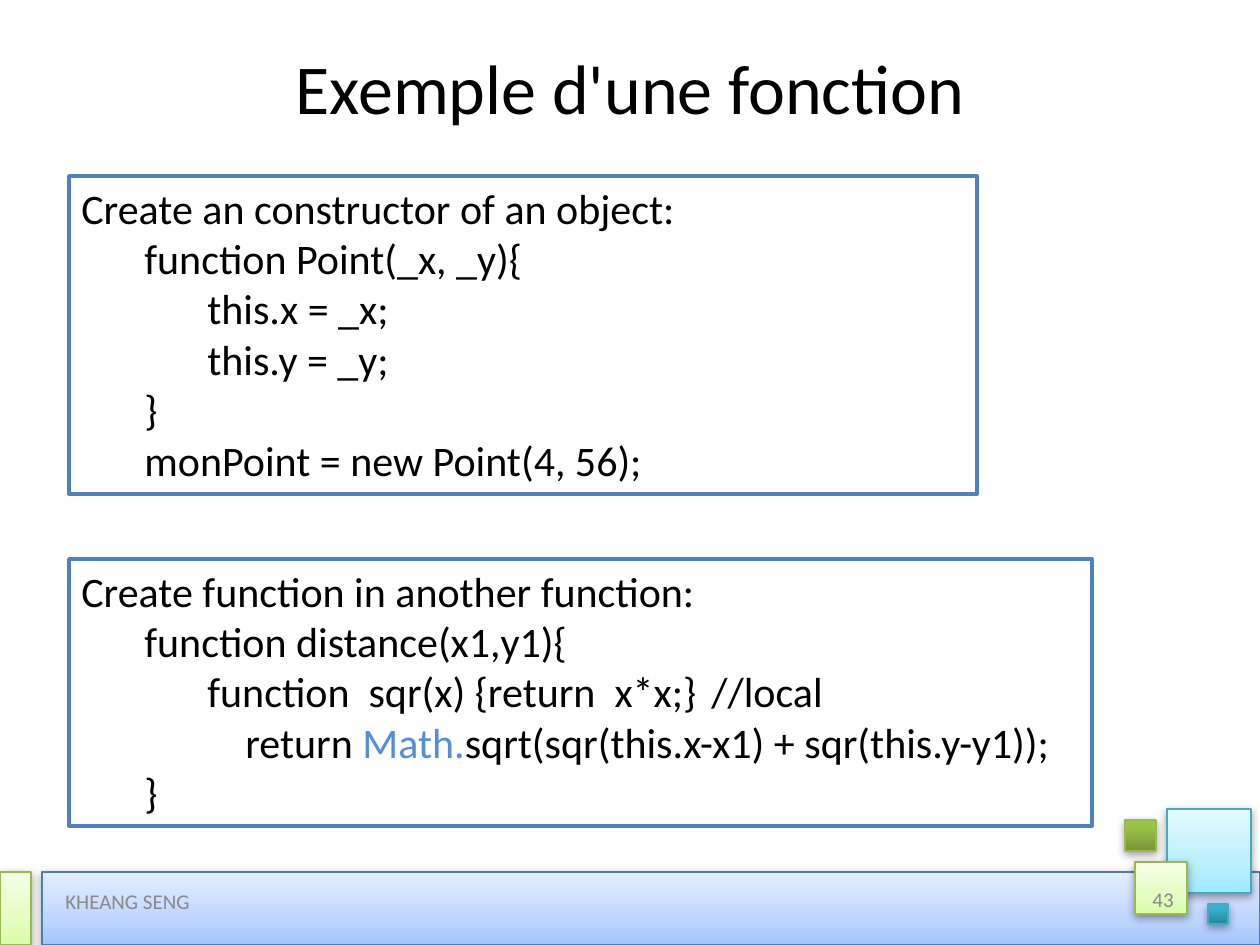
from copy import deepcopy

from lxml.etree import SubElement
from pptx import Presentation
from pptx.dml.color import RGBColor
from pptx.enum.shapes import MSO_SHAPE
from pptx.enum.text import MSO_ANCHOR, MSO_AUTO_SIZE, PP_ALIGN
from pptx.oxml.ns import qn
from pptx.util import Pt

EMU_PER_PX = 914400 / 126
INDENT = 63

BLACK = RGBColor(0x00, 0x00, 0x00)
WHITE = RGBColor(0xFF, 0xFF, 0xFF)
GREY = RGBColor(0x89, 0x89, 0x89)
FRAME_BLUE = RGBColor(0x4F, 0x81, 0xBD)
KEYWORD_BLUE = RGBColor(0x55, 0x8E, 0xD5)
BAND_LINE = RGBColor(0x4A, 0x7E, 0xBB)
AQUA_LINE = RGBColor(0x46, 0xAA, 0xC5)
GREEN_LINE = RGBColor(0x98, 0xB9, 0x54)

PALE_BLUE = [(0, RGBColor(0xA3, 0xC4, 0xFF)), (0.35, RGBColor(0xBF, 0xD5, 0xFF)),
             (1, RGBColor(0xE5, 0xEE, 0xFF))]
PALE_AQUA = [(0, RGBColor(0x9E, 0xEA, 0xFF)), (0.35, RGBColor(0xBB, 0xEF, 0xFF)),
             (1, RGBColor(0xE4, 0xF9, 0xFF))]
PALE_GREEN = [(0, RGBColor(0xDA, 0xFD, 0xA7)), (0.35, RGBColor(0xE4, 0xFD, 0xC2)),
              (1, RGBColor(0xF5, 0xFF, 0xE6))]
DEEP_GREEN = [(0, RGBColor(0x76, 0x95, 0x35)), (0.8, RGBColor(0x9B, 0xC3, 0x48)),
              (1, RGBColor(0x9C, 0xC7, 0x46))]
DEEP_AQUA = [(0, RGBColor(0x27, 0x87, 0xA0)), (0.8, RGBColor(0x36, 0xB1, 0xD2)),
             (1, RGBColor(0x34, 0xB3, 0xD6))]

# left, top, width, height, gradient, line colour
DECORATIONS = [
    (42, 872, 1218, 73, PALE_BLUE, BAND_LINE),
    (1167, 809, 84, 84, PALE_AQUA, AQUA_LINE),
    (1135, 862, 52, 52, PALE_GREEN, GREEN_LINE),
    (1125, 820, 31, 31, DEEP_GREEN, GREEN_LINE),
    (1208, 904, 20, 20, DEEP_AQUA, AQUA_LINE),
    (0, 872, 31, 73, PALE_GREEN, GREEN_LINE),
]

# Each line is an indent level and its text runs with their colours.
CONSTRUCTOR_CODE = [
    (0, [("Create an constructor of an object:", BLACK)]),
    (1, [("function Point(_x, _y){", BLACK)]),
    (2, [("this.x = _x;", BLACK)]),
    (2, [("this.y = _y;", BLACK)]),
    (1, [("}", BLACK)]),
    (1, [("monPoint = new Point(4, 56);", BLACK)]),
]
NESTED_FUNCTION_CODE = [
    (0, [("Create function in another function:", BLACK)]),
    (1, [("function distance(x1,y1){", BLACK)]),
    (2, [("function  sqr(x) {return  x*x;}\t//local", BLACK)]),
    (2, [("    return ", BLACK), ("Math.", KEYWORD_BLUE),
         ("sqrt(sqr(this.x-x1) + sqr(this.y-y1));", BLACK)]),
    (1, [("}", BLACK)]),
]


def px(length):
    return round(length * EMU_PER_PX)


def set_all(target, values):
    for name, value in values.items():
        setattr(target, name, value)


class SlideBuilder:
    """Holds the text style and the slide being filled."""

    font_name = "Calibri"

    def __init__(self, slide):
        self.slide = slide

    def add_text(self, paragraph, text, size, color):
        run = paragraph.add_run()
        run.text = text
        set_all(run.font, {"name": self.font_name, "size": Pt(size)})
        run.font.color.rgb = color

    def title(self, text, left, top, width, height):
        title = self.slide.shapes.title
        set_all(title, {"left": px(left), "top": px(top),
                        "width": px(width), "height": px(height)})
        title.text_frame.vertical_anchor = MSO_ANCHOR.MIDDLE
        paragraph = title.text_frame.paragraphs[0]
        paragraph.alignment = PP_ALIGN.CENTER
        self.add_text(paragraph, text, 40, BLACK)

    def rectangle(self, left, top, width, height, line_color, line_width):
        shape = self.slide.shapes.add_shape(
            MSO_SHAPE.RECTANGLE, px(left), px(top), px(width), px(height))
        shape.line.color.rgb = line_color
        shape.line.width = Pt(line_width)
        return shape

    def decoration(self, left, top, width, height, gradient, line_color):
        shape = self.rectangle(left, top, width, height, line_color, 0.75)
        shape.fill.gradient()
        shape.fill.gradient_angle = 90
        properties = shape.element.spPr
        stop_list = properties.find(qn("a:gradFill")).find(qn("a:gsLst"))
        stop_list.append(deepcopy(stop_list[-1]))
        for stop, (position, color) in zip(shape.fill.gradient_stops, gradient):
            stop.position = position
            stop.color.rgb = color
        self.drop_shadow(shape)

    def drop_shadow(self, shape):
        shape.shadow.inherit = False
        effects = shape.element.spPr.find(qn("a:effectLst"))
        shadow = SubElement(effects, qn("a:outerShdw"), blurRad=str(Pt(5)),
                            dist=str(Pt(1.6)), dir="5400000", rotWithShape="0")
        color = SubElement(shadow, qn("a:srgbClr"), val=str(BLACK))
        SubElement(color, qn("a:alpha"), val="38000")

    def code_box(self, left, top, width, height, lines):
        shape = self.rectangle(left, top, width, height, FRAME_BLUE, 2)
        shape.shadow.inherit = False
        shape.fill.solid()
        shape.fill.fore_color.rgb = WHITE
        frame = shape.text_frame
        set_all(frame, {"word_wrap": True, "vertical_anchor": MSO_ANCHOR.TOP,
                        "auto_size": MSO_AUTO_SIZE.SHAPE_TO_FIT_TEXT})
        for index, (level, runs) in enumerate(lines):
            paragraph = frame.add_paragraph() if index else frame.paragraphs[0]
            set_all(paragraph, {"level": level, "alignment": PP_ALIGN.LEFT})
            margins = paragraph._p.get_or_add_pPr()
            margins.set("marL", str(px(level * INDENT)))
            margins.set("indent", "0")
            for text, color in runs:
                self.add_text(paragraph, text, 24, color)

    def footer(self, text, left, top, width, height, alignment):
        box = self.slide.shapes.add_textbox(px(left), px(top), px(width), px(height))
        set_all(box.text_frame, {"word_wrap": True,
                                 "vertical_anchor": MSO_ANCHOR.MIDDLE})
        paragraph = box.text_frame.paragraphs[0]
        paragraph.alignment = alignment
        self.add_text(paragraph, text, 12, GREY)


def main():
    presentation = Presentation()
    set_all(presentation, {"slide_width": px(1260), "slide_height": px(945)})
    title_only = presentation.slide_layouts[5]
    builder = SlideBuilder(presentation.slides.add_slide(title_only))

    for decoration in DECORATIONS:
        builder.decoration(*decoration)
    builder.title("Exemple d'une fonction", 63, 32, 1134, 110)
    builder.footer("43", 892, 874, 294, 50, PP_ALIGN.RIGHT)
    builder.code_box(69, 176, 908, 318, CONSTRUCTOR_CODE)
    builder.code_box(69, 559, 1023, 267, NESTED_FUNCTION_CODE)
    builder.footer("KHEANG SENG", 53, 876, 400, 50, PP_ALIGN.LEFT)
    presentation.save("out.pptx")


if __name__ == "__main__":
    main()
